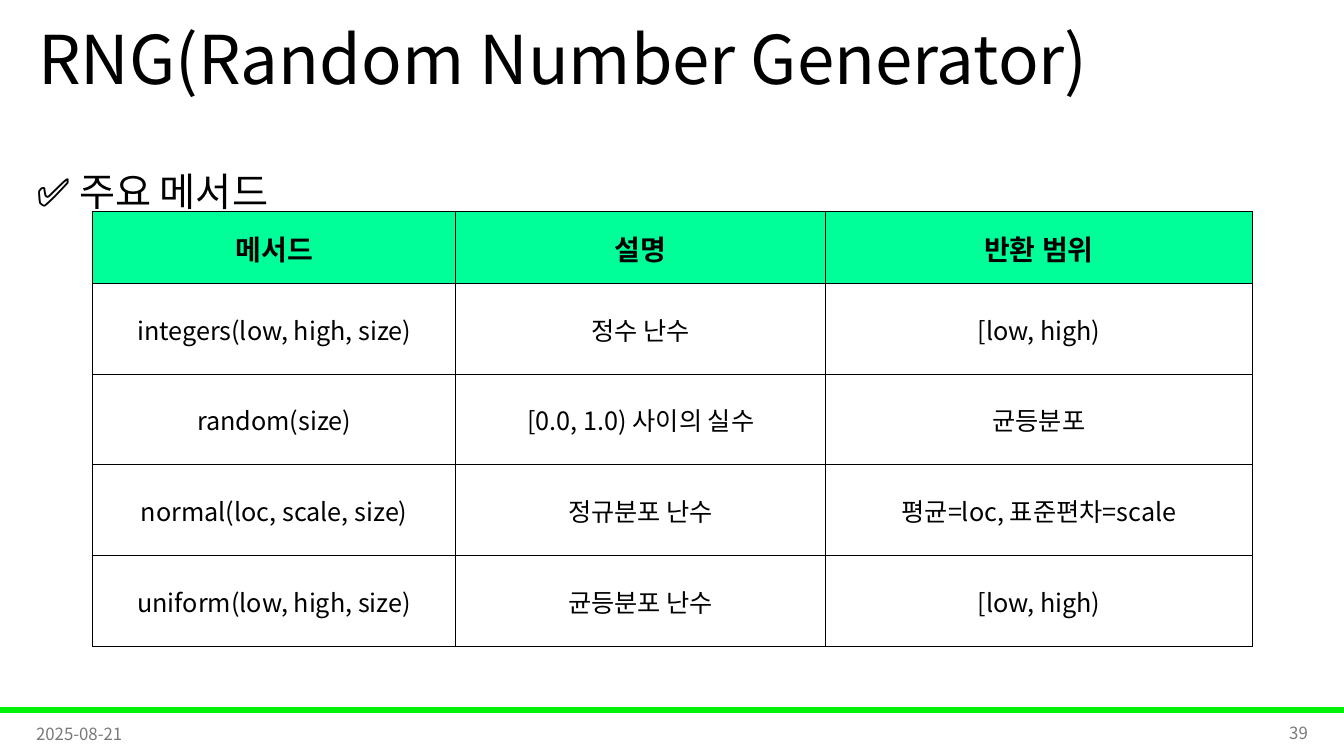
from dataclasses import dataclass

from lxml import etree
from pptx import Presentation
from pptx.dml.color import RGBColor
from pptx.enum.shapes import MSO_SHAPE
from pptx.enum.text import MSO_ANCHOR, MSO_AUTO_SIZE, PP_ALIGN
from pptx.oxml.ns import qn
from pptx.slide import Slide
from pptx.table import _Cell
from pptx.text.text import TextFrame
from pptx.util import Inches, Pt

RECTANGLE = MSO_SHAPE.RECTANGLE
MIDDLE, TOP = MSO_ANCHOR.MIDDLE, MSO_ANCHOR.TOP
LEFT, CENTER, RIGHT = PP_ALIGN.LEFT, PP_ALIGN.CENTER, PP_ALIGN.RIGHT
NO_AUTOFIT = MSO_AUTO_SIZE.NONE
TITLE_AND_CONTENT = 1


@dataclass(frozen=True)
class Theme:
    font: str = "Noto Sans CJK KR"
    ink: str = "000000"
    muted: str = "797979"
    accent: str = "00F209"
    header_fill: str = "00FF99"
    title_size: float = 48
    body_size: float = 28
    header_size: float = 20
    cell_size: float = 18
    footer_size: float = 12
    border_width: float = 0.5


@dataclass(frozen=True)
class FooterItem:
    text: str
    left: float
    top: float
    align: PP_ALIGN


THEME = Theme()
FOOTER_ITEMS = [
    FooterItem("2025-08-21", 0.26, 7.08, LEFT),
    FooterItem("39", 10.07, 7.07, RIGHT),
]
COLUMN_WIDTHS = [3.6, 3.67, 4.23]
HEADER_HEIGHT, METHOD_HEIGHT = 0.71, 0.9
METHOD_ROWS = [
    ("메서드", "설명", "반환 범위"),
    ("integers(low, high, size)", "정수 난수", "[low, high)"),
    ("random(size)", "[0.0, 1.0) 사이의 실수", "균등분포"),
    ("normal(loc, scale, size)", "정규분포 난수", "평균=loc, 표준편차=scale"),
    ("uniform(low, high, size)", "균등분포 난수", "[low, high)"),
]


def write(frame: TextFrame, text: str, size: float, color: str = THEME.ink,
          align: PP_ALIGN = LEFT, bold: bool = False) -> None:
    """Set one paragraph of text and format its run for Latin and Korean."""
    frame.text = text
    paragraph = frame.paragraphs[0]
    paragraph.alignment = align
    font = paragraph.runs[0].font
    font.name = THEME.font
    font.size = Pt(size)
    font.bold = bold
    font.color.rgb = RGBColor.from_string(color)
    korean = etree.Element(qn("a:ea"), typeface=THEME.font)
    font._element.find(qn("a:latin")).addnext(korean)


def place(shape, left: float, top: float, width: float, height: float) -> None:
    shape.left, shape.top = Inches(left), Inches(top)
    shape.width, shape.height = Inches(width), Inches(height)


def fill_placeholders(slide: Slide) -> None:
    title = slide.shapes.title
    place(title, 0.28, 0, 11.5, 1.25)
    write(title.text_frame, "RNG(Random Number Generator)", THEME.title_size)
    title.text_frame.vertical_anchor = MIDDLE
    title.text_frame.auto_size = NO_AUTOFIT
    title.text_frame.paragraphs[0].line_spacing = 0.9

    heading = slide.placeholders[1]
    place(heading, 0.26, 1.24, 12.8, 0.84)
    frame = heading.text_frame
    write(frame, "✅ 주요 메서드", THEME.body_size)
    frame.vertical_anchor = TOP
    frame.auto_size = NO_AUTOFIT
    frame.margin_top = Inches(0.19)
    paragraph = frame.paragraphs[0]
    properties = paragraph._p.get_or_add_pPr()
    properties.set("marL", "0")
    properties.set("indent", "0")
    etree.SubElement(properties, qn("a:buNone"))
    paragraph.line_spacing = 1.5
    paragraph.space_before = Pt(0)


def add_border(cell: _Cell) -> None:
    properties = cell._tc.get_or_add_tcPr()
    for side in ("lnL", "lnR", "lnT", "lnB"):
        line = etree.SubElement(properties, qn(f"a:{side}"), w=str(Pt(THEME.border_width)))
        solid = etree.SubElement(line, qn("a:solidFill"))
        etree.SubElement(solid, qn("a:srgbClr"), val=THEME.ink)


def format_cell(cell: _Cell, text: str, is_header: bool) -> None:
    size = THEME.header_size if is_header else THEME.cell_size
    write(cell.text_frame, text, size, align=CENTER, bold=is_header)
    cell.vertical_anchor = MIDDLE
    cell.margin_left = cell.margin_right = cell.margin_top = Inches(0.01)
    cell.margin_bottom = 0
    add_border(cell)
    if is_header:
        cell.fill.solid()
        cell.fill.fore_color.rgb = RGBColor.from_string(THEME.header_fill)
    else:
        cell.fill.background()


def add_method_table(slide: Slide) -> None:
    heights = [HEADER_HEIGHT] + [METHOD_HEIGHT] * (len(METHOD_ROWS) - 1)
    methods = slide.shapes.add_table(
        len(heights), len(COLUMN_WIDTHS), Inches(0.92), Inches(2.1),
        Inches(sum(COLUMN_WIDTHS)), Inches(sum(heights))).table
    methods.horz_banding = False
    for column, width in zip(methods.columns, COLUMN_WIDTHS):
        column.width = Inches(width)
    for index, (row, height, texts) in enumerate(zip(methods.rows, heights, METHOD_ROWS)):
        row.height = Inches(height)
        for cell, text in zip(row.cells, texts):
            format_cell(cell, text, is_header=index == 0)


def add_footer(slide: Slide) -> None:
    bar = slide.shapes.add_shape(
        RECTANGLE, 0, Inches(7.02), Inches(13.33), Inches(0.05))
    bar.shadow.inherit = False
    bar.fill.solid()
    bar.fill.fore_color.rgb = RGBColor.from_string(THEME.accent)
    bar.line.color.rgb = RGBColor.from_string(THEME.accent)
    bar.line.width = Pt(1)
    for item in FOOTER_ITEMS:
        frame = slide.shapes.add_textbox(
            Inches(item.left), Inches(item.top), Inches(3), Inches(0.4)).text_frame
        frame.word_wrap = True
        frame.vertical_anchor = MIDDLE
        write(frame, item.text, THEME.footer_size, THEME.muted, item.align)


def main() -> None:
    deck = Presentation()
    deck.slide_width, deck.slide_height = Inches(13.33), Inches(7.5)
    slide = deck.slides.add_slide(deck.slide_layouts[TITLE_AND_CONTENT])
    fill_placeholders(slide)
    add_method_table(slide)
    add_footer(slide)
    deck.save("out.pptx")


if __name__ == "__main__":
    main()
